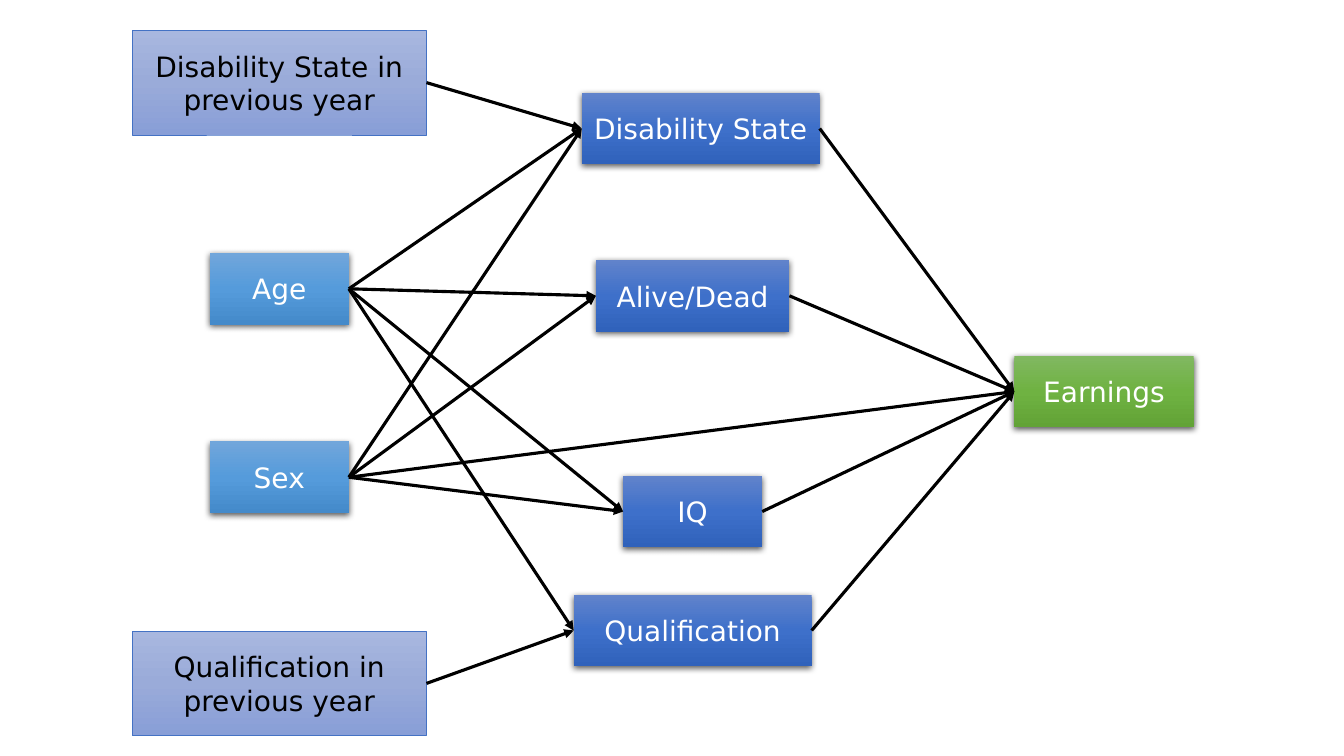
from copy import deepcopy

from lxml import etree
from pptx import Presentation
from pptx.dml.color import RGBColor
from pptx.enum.shapes import MSO_CONNECTOR, MSO_SHAPE
from pptx.enum.text import MSO_ANCHOR, PP_ALIGN
from pptx.oxml.ns import qn
from pptx.util import Inches, Pt

RECTANGLE = MSO_SHAPE.RECTANGLE
STRAIGHT = MSO_CONNECTOR.STRAIGHT
CENTER, MIDDLE = PP_ALIGN.CENTER, MSO_ANCHOR.MIDDLE
LEFT_SITE, RIGHT_SITE = 1, 3

BLACK = RGBColor(0x00, 0x00, 0x00)
WHITE = RGBColor(0xFF, 0xFF, 0xFF)
OUTLINE = RGBColor(0x44, 0x72, 0xC4)
SKY = [RGBColor.from_string(c) for c in ("71A6DB", "559BDB", "448ACA")]
BLUE = [RGBColor.from_string(c) for c in ("6183CB", "3E70CA", "3062BB")]
GREEN = [RGBColor.from_string(c) for c in ("81B861", "6FB242", "62A336")]
PALE = [RGBColor.from_string(c) for c in ("A8B7DF", "9AABD9", "889ED7")]

FONT = "DejaVu Sans"
LOW, TALL = 0.71, 1.04
PAST_STATE = "Disability State in previous year"
PAST_QUALIFICATION = "Qualification in previous year"

FACTORS = [
    ("Age", 2.08, 2.51, 1.38, SKY),
    ("Sex", 2.08, 4.38, 1.38, SKY),
    ("Disability State", 5.77, 0.92, 2.36, BLUE),
    ("Alive/Dead", 5.91, 2.58, 1.92, BLUE),
    ("Qualification", 5.69, 5.9, 2.36, BLUE),
    ("IQ", 6.18, 4.72, 1.38, BLUE),
    ("Earnings", 10.06, 3.53, 1.78, GREEN),
    (PAST_STATE, 1.31, 0.3, 2.92, PALE),
    (PAST_QUALIFICATION, 1.31, 6.26, 2.92, PALE),
]
INFLUENCES = {
    PAST_STATE: ["Disability State"],
    "Age": ["Disability State", "Alive/Dead", "IQ", "Qualification"],
    "Sex": ["Disability State", "Alive/Dead", "IQ", "Earnings"],
    PAST_QUALIFICATION: ["Qualification"],
    "Disability State": ["Earnings"],
    "Alive/Dead": ["Earnings"],
    "IQ": ["Earnings"],
    "Qualification": ["Earnings"],
}


def fill_gradient(box, colours):
    """Fill a box from top to bottom with three evenly spaced colours."""
    box.fill.gradient()
    box.fill.gradient_angle = 270
    stops = box._element.spPr.find(qn("a:gradFill")).find(qn("a:gsLst"))
    stops.append(deepcopy(stops[0]))
    for index, (stop, colour) in enumerate(zip(box.fill.gradient_stops, colours)):
        stop.position = index / 2
        stop.color.rgb = colour


def add_shadow(box):
    """Give a box a soft shadow straight below it."""
    effects = box._element.spPr.find(qn("a:effectLst"))
    shadow = etree.SubElement(
        effects, qn("a:outerShdw"), blurRad=str(Pt(4.5)), dist=str(Pt(1.5)),
        dir="5400000", algn="ctr", rotWithShape="0")
    colour = etree.SubElement(shadow, qn("a:srgbClr"), val=str(BLACK))
    etree.SubElement(colour, qn("a:alpha"), val="63000")


def add_factor(slide, label, left, top, width, colours):
    """Add one labelled box and return it."""
    pale = colours is PALE
    box = slide.shapes.add_shape(
        RECTANGLE, Inches(left), Inches(top), Inches(width), Inches(TALL if pale else LOW))
    fill_gradient(box, colours)
    box.shadow.inherit = False
    if pale:
        box.line.color.rgb = OUTLINE
        box.line.width = Pt(0.5)
    else:
        box.line.fill.background()
        add_shadow(box)
    frame = box.text_frame
    frame.word_wrap = True
    frame.vertical_anchor = MIDDLE
    frame.margin_left = frame.margin_right = Inches(0.05)
    para = frame.paragraphs[0]
    para.alignment = CENTER
    span = para.add_run()
    span.text = label
    span.font.name = FONT
    span.font.size = Pt(20)
    span.font.color.rgb = BLACK if pale else WHITE
    return box


def add_arrow(slide, cause, effect):
    """Join the right side of one box to the left side of another."""
    arrow = slide.shapes.add_connector(STRAIGHT, 0, 0, 0, 0)
    arrow.begin_connect(cause, RIGHT_SITE)
    arrow.end_connect(effect, LEFT_SITE)
    arrow.line.color.rgb = BLACK
    arrow.line.width = Pt(2.25)
    properties = arrow._element.spPr
    etree.SubElement(properties.find(qn("a:ln")), qn("a:tailEnd"), type="triangle")
    etree.SubElement(properties, qn("a:effectLst"))


deck = Presentation()
deck.slide_width, deck.slide_height = Inches(13.33), Inches(7.5)
page = deck.slides.add_slide(deck.slide_layouts[6])
boxes = {factor[0]: add_factor(page, *factor) for factor in FACTORS}
for cause, effects in INFLUENCES.items():
    for effect in effects:
        add_arrow(page, boxes[cause], boxes[effect])
deck.save("out.pptx")
